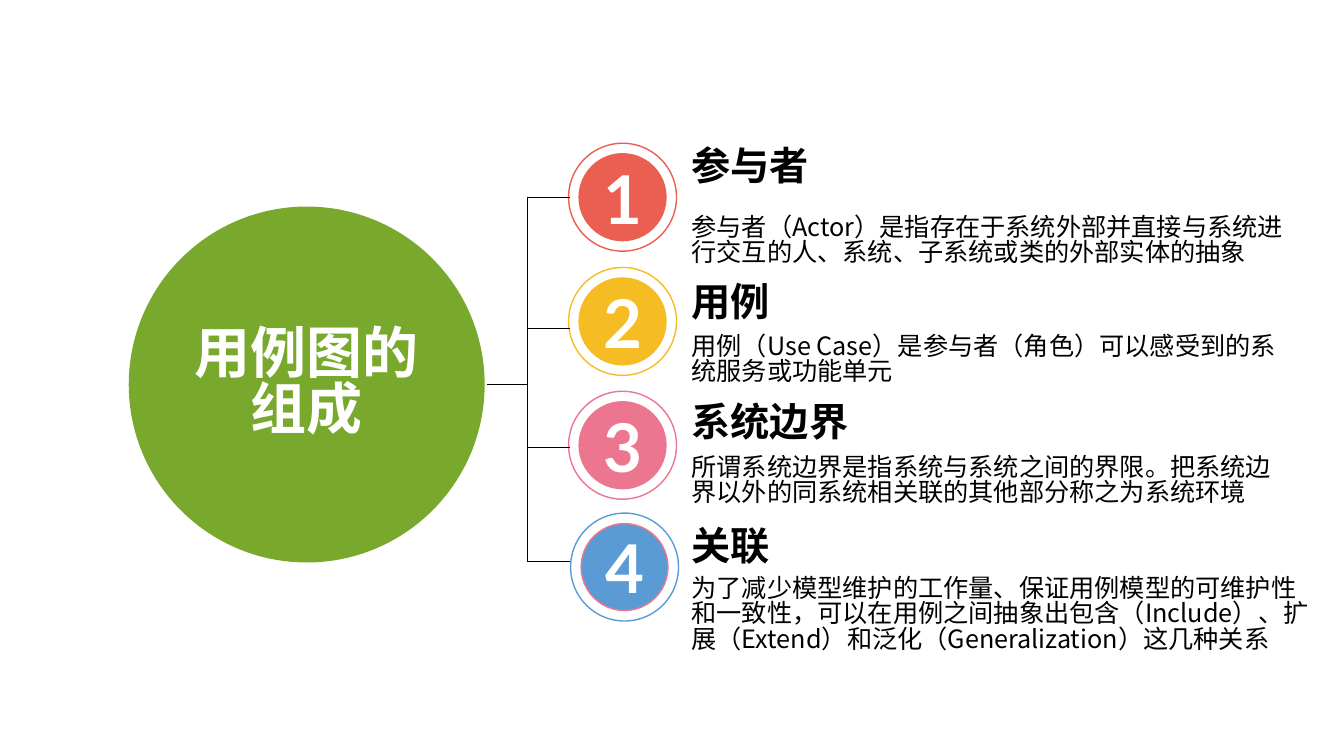
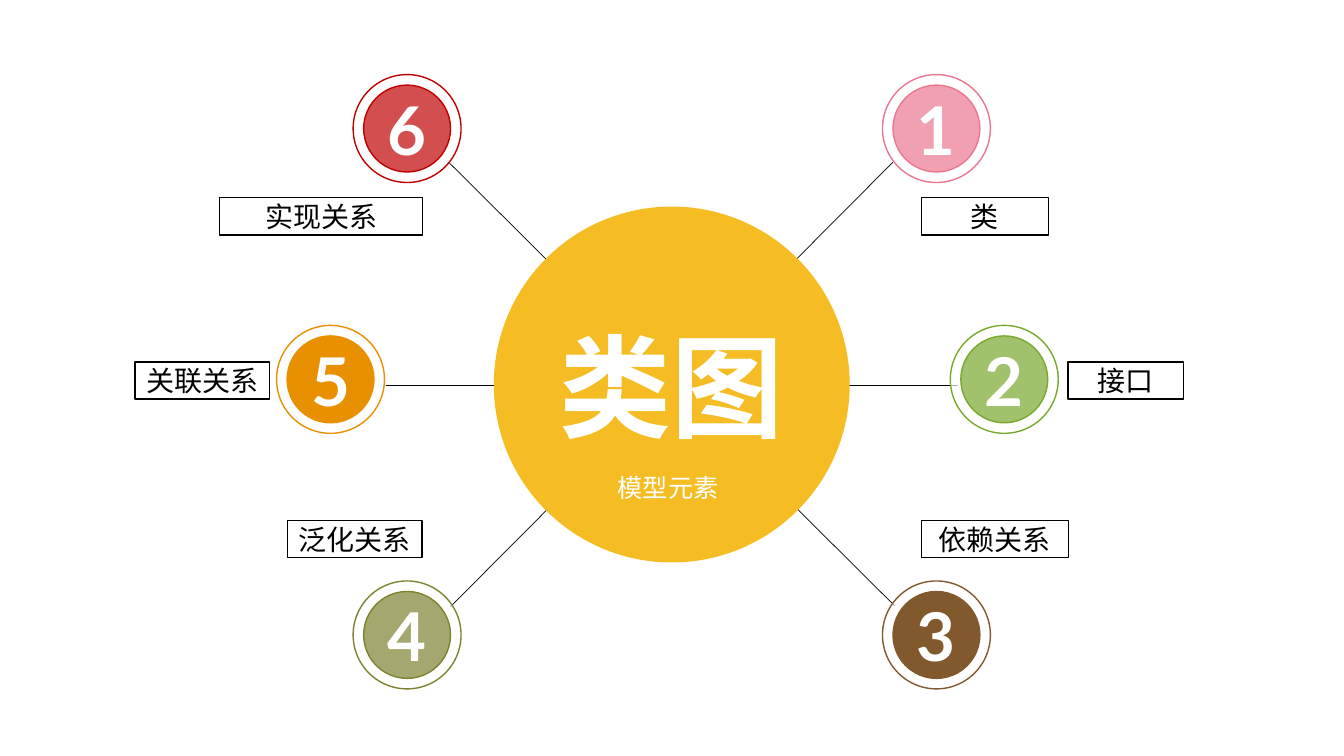
import pptx
import pptx.util
import pptx.dml.color
import pptx.enum.shapes
import pptx.enum.text
import pptx.oxml.ns
from dataclasses import dataclass
from lxml import etree

Cm, Pt = pptx.util.Cm, pptx.util.Pt
RGB = pptx.dml.color.RGBColor.from_string
SHAPE = pptx.enum.shapes.MSO_SHAPE
ALIGN = pptx.enum.text.PP_ALIGN
ANCHOR = pptx.enum.text.MSO_ANCHOR
qn = pptx.oxml.ns.qn


@dataclass(frozen=True)
class Theme:
    cjk: str = "Noto Sans CJK SC"
    latin: str = "Lato"
    white: str = "FFFFFF"
    black: str = "000000"
    green: str = "78A82C"
    yellow: str = "F5BD23"
    coral: str = "EB5F52"
    pink: str = "EC7690"
    blue: str = "5B9BD5"
    red: str = "C00000"
    orange: str = "E99000"
    olive: str = "7E822E"
    brown: str = "82582D"
    hub: int = 40
    hub_large: int = 80
    number: int = 48
    heading: int = 28
    label: int = 20
    body: int = 18
    tight: float = 0.83
    alpha: int = 69


T = Theme()

# Lengths are centimetres.
HUB_SIZE, RING_SIZE, DISC_SIZE = 8.97, 2.72, 2.19
HUB_Y = 9.69

# heading, body, colour, disc outline, badge centre, branch y, heading y, body y, body width
PARTS = [
    ("参与者", "参与者（Actor）是指存在于系统外部并直接与系统进行交互的人、系统、子系统或类的外部实体的抽象",
     T.coral, T.coral, (15.69, 4.97), 4.97, 3.44, 5.33, 15.27),
    ("用例", "用例（Use Case）是参与者（角色）可以感受到的系统服务或功能单元",
     T.yellow, T.yellow, (15.69, 8.1), 8.28, 6.85, 8.33, 15.27),
    ("系统边界", "所谓系统边界是指系统与系统之间的界限。把系统边界以外的同系统相关联的其他部分称之为系统环境",
     T.pink, T.pink, (15.69, 11.22), 11.28, 9.89, 11.38, 15.27),
    ("关联", "为了减少模型维护的工作量、保证用例模型的可维护性和一致性，可以在用例之间抽象出包含（Include）、扩展（Extend）和泛化（Generalization）这几种关系",
     T.blue, T.pink, (15.74, 14.29), 14.15, 13.01, 14.43, 16),
]
STEM_X, BUS_X, BRANCH_X, TEXT_X = 12.27, 13.3, 14.36, 17.3

# label, colour, translucent disc, badge centre, label left, top, width
ELEMENTS = [
    ("类", T.pink, True, (23.6, 3.24), (23.22, 4.98, 3.2)),
    ("接口", T.green, True, (25.31, 9.56), (26.92, 9.12, 2.9)),
    ("依赖关系", T.brown, False, (23.6, 16), (23.22, 13.11, 3.71)),
    ("泛化关系", T.olive, True, (10.26, 16), (7.24, 13.11, 3.4)),
    ("关联关系", T.orange, False, (8.33, 9.56), (3.4, 9.12, 3.4)),
    ("实现关系", T.red, True, (10.26, 3.24), (5.54, 4.98, 5.11)),
]
LABEL_HEIGHT = 0.94
SPOKES = [((11.35, 15.29), (22.5, 4.09)),
          ((9.73, 9.7), (24.13, 9.7)),
          ((22.55, 15.27), (11.33, 4.11))]


def set_text(shape, text, size, color, bold=False, font=T.cjk, align=ALIGN.CENTER,
             anchor=ANCHOR.MIDDLE, spacing=1.0, inset=0.0, wrap=True):
    tf = shape.text_frame
    tf.word_wrap = wrap
    tf.vertical_anchor = anchor
    tf.margin_left = tf.margin_right = tf.margin_top = tf.margin_bottom = Cm(inset)
    p = tf.paragraphs[0]
    p.text = text
    p.alignment = align
    p.line_spacing = spacing
    r = p.runs[0]
    r.font.name, r.font.size, r.font.bold = font, Pt(size), bold
    r.font.color.rgb = RGB(color)
    etree.SubElement(r.font._element, qn("a:ea")).set("typeface", font)


def add_text(s, box, *args, **kwargs):
    set_text(s.shapes.add_textbox(*map(Cm, box)), *args, **kwargs)


def add_circle(shapes, center, size, fill, line=None, alpha=None):
    x, y = center
    sp = shapes.add_shape(SHAPE.OVAL, Cm(x - size / 2), Cm(y - size / 2), Cm(size), Cm(size))
    sp.shadow.inherit = False
    sp.fill.solid()
    sp.fill.fore_color.rgb = RGB(fill)
    if alpha:
        color = sp.fill._xPr.find(qn("a:solidFill"))[0]
        etree.SubElement(color, qn("a:alpha")).set("val", str(alpha * 1000))
    if line:
        sp.line.color.rgb = RGB(line)
        sp.line.width = Pt(1)
    else:
        sp.line.fill.background()
    return sp


def add_badge(s, number, center, color, outline, alpha=None):
    """Numbered disc inside a thin ring, as one group."""
    group = s.shapes.add_group_shape()
    add_circle(group.shapes, center, RING_SIZE, T.white, color, T.alpha)
    disc = add_circle(group.shapes, center, DISC_SIZE, color, outline, alpha)
    set_text(disc, str(number), T.number, T.white, True, T.latin, wrap=False)


def add_line(s, start, end):
    line = s.shapes.add_connector(pptx.enum.shapes.MSO_CONNECTOR.STRAIGHT,
                                  *map(Cm, start + end))
    line.line.color.rgb = RGB(T.black)
    line.line.width = Pt(0.5)
    etree.SubElement(line._element.spPr, qn("a:effectLst"))


def add_label(s, text, left, top, width):
    sp = s.shapes.add_shape(SHAPE.RECTANGLE, Cm(left), Cm(top), Cm(width), Cm(LABEL_HEIGHT))
    sp.shadow.inherit = False
    sp.fill.background()
    sp.line.color.rgb = RGB(T.black)
    sp.line.width = Pt(1)
    set_text(sp, text, T.label, T.black)


def build_use_case_slide(s):
    hub = add_circle(s.shapes, (7.73, HUB_Y), HUB_SIZE, T.green)
    set_text(hub, "用例图的组成", T.hub, T.white, True, spacing=T.tight, inset=0.25)

    add_line(s, (STEM_X, HUB_Y), (BUS_X, HUB_Y))
    add_line(s, (BUS_X, PARTS[0][5]), (BUS_X, PARTS[-1][5]))
    left_top = dict(align=ALIGN.LEFT, anchor=ANCHOR.TOP, inset=0.13)
    for number, part in enumerate(PARTS, 1):
        heading, body, color, outline, center, branch_y, heading_y, body_y, width = part
        add_badge(s, number, center, color, outline)
        add_line(s, (BUS_X, branch_y), (BRANCH_X, branch_y))
        add_text(s, (TEXT_X, heading_y, 10.67, 1.5), heading, T.heading, T.black, True,
                 **left_top)
        add_text(s, (TEXT_X, body_y, width, 1.8), body, T.body, T.black,
                 spacing=T.tight, **left_top)


def build_class_slide(s):
    for start, end in SPOKES:
        add_line(s, start, end)
    hub = add_circle(s.shapes, (16.93, HUB_Y), HUB_SIZE, T.yellow)
    set_text(hub, "类图", T.hub_large, T.white, True)
    add_text(s, (15.1, 11.9, 3.48, 1), "模型元素", T.body, T.white, anchor=ANCHOR.TOP)
    for number, (label, color, translucent, center, box) in enumerate(ELEMENTS, 1):
        add_badge(s, number, center, color, color, T.alpha if translucent else None)
        add_label(s, label, *box)


def main():
    prs = pptx.Presentation()
    prs.slide_width, prs.slide_height = Cm(33.87), Cm(19.05)
    for build in (build_use_case_slide, build_class_slide):
        build(prs.slides.add_slide(prs.slide_layouts[6]))
    prs.save("out.pptx")


if __name__ == "__main__":
    main()
